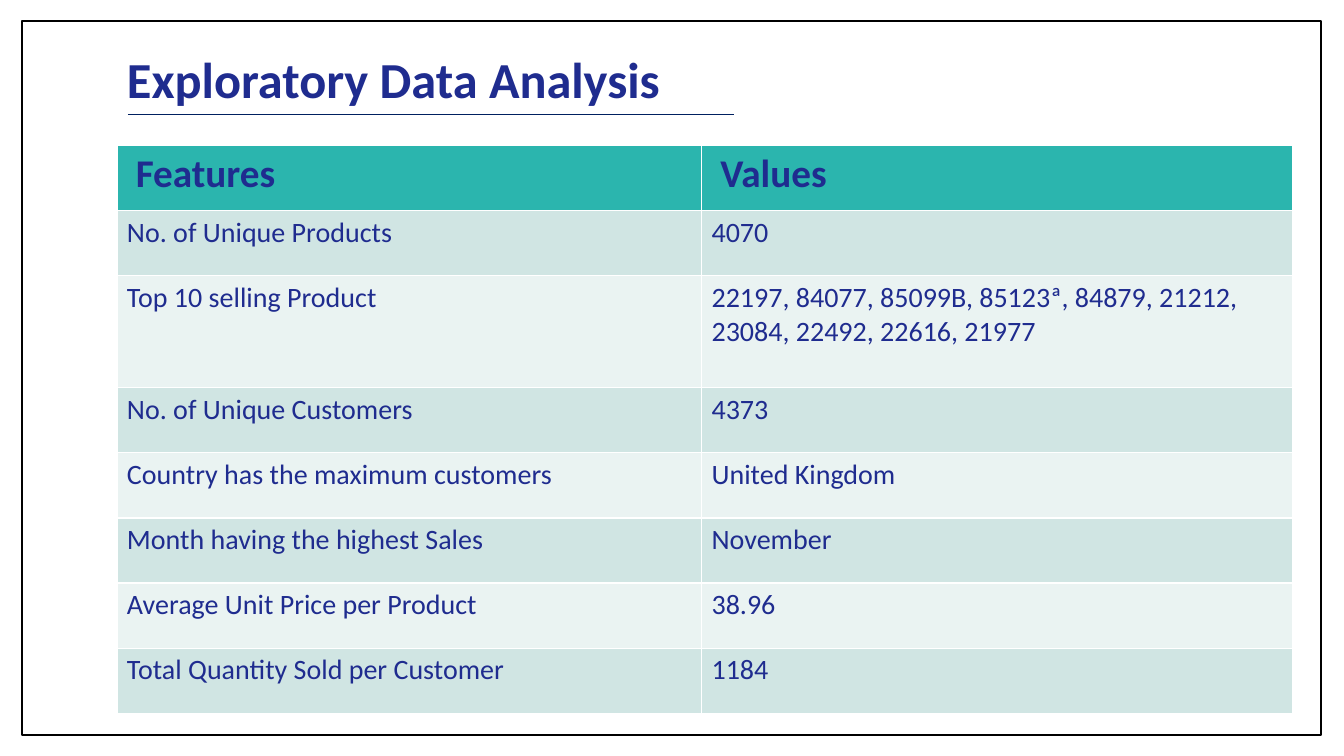
import pptx
import pptx.dml.color
import pptx.enum.shapes
import pptx.enum.text
import pptx.oxml.ns
import pptx.util
import lxml.etree

Pt = pptx.util.Pt

TITLE = "Exploratory Data Analysis"
ROWS = [
    ("Features", "Values"),
    ("No. of Unique Products", "4070"),
    ("Top 10 selling Product",
     "22197, 84077, 85099B, 85123ª, 84879, 21212, 23084, 22492, 22616, 21977"),
    ("No. of Unique Customers", "4373"),
    ("Country has the maximum customers", "United Kingdom"),
    ("Month having the highest Sales", "November"),
    ("Average Unit Price per Product", "38.96"),
    ("Total Quantity Sold per Customer", "1184"),
]
COLORS = {
    "text": "1F2C8F",
    "header": "16AEA7",
    "dark_band": "CCE3E1",
    "light_band": "E8F2F1",
    "paper": "FFFFFF",
    "frame": "000000",
    "rule": "002060",
}
FONT = "Calibri"
LEFT = 83.5
COLUMN_WIDTHS = (417.6, 421.9)
ROW_HEIGHT = 46.5
TALL_ROW = 2
TALL_ROW_HEIGHT = 80
FILL_ALPHA = 91000


def color(name):
    return pptx.dml.color.RGBColor.from_string(COLORS[name])


def format_text(text_frame, size, bold):
    for paragraph in text_frame.paragraphs:
        for run in paragraph.runs:
            run.font.name = FONT
            run.font.size = Pt(size)
            run.font.bold = bold
            run.font.color.rgb = color("text")


def add_frame(slide):
    frame = slide.shapes.add_shape(
        pptx.enum.shapes.MSO_SHAPE.RECTANGLE, Pt(15.8), Pt(14.7), Pt(928), Pt(510.5))
    frame.shadow.inherit = False
    frame.fill.solid()
    frame.fill.fore_color.rgb = color("paper")
    frame.line.color.rgb = color("frame")
    frame.line.width = Pt(1.5)
    slide.shapes.element.insert(2, frame.element)


def set_title(slide):
    title = slide.shapes.title
    title.left, title.top, title.width, title.height = Pt(LEFT), Pt(6.5), Pt(711.4), Pt(75)
    text_frame = title.text_frame
    text_frame.text = TITLE
    text_frame.auto_size = pptx.enum.text.MSO_AUTO_SIZE.NONE
    text_frame.vertical_anchor = pptx.enum.text.MSO_ANCHOR.BOTTOM
    text_frame.paragraphs[0].alignment = pptx.enum.text.PP_ALIGN.LEFT
    text_frame.paragraphs[0].line_spacing = 0.9
    format_text(text_frame, 36, True)


def fill_cell(cell, name):
    cell.fill.solid()
    cell.fill.fore_color.rgb = color(name)
    qn = pptx.oxml.ns.qn
    rgb = next(cell.fill.fore_color._xFill.iter(qn("a:srgbClr")))
    lxml.etree.SubElement(rgb, qn("a:alpha")).set("val", str(FILL_ALPHA))


def add_feature_table(slide):
    heights = [TALL_ROW_HEIGHT if index == TALL_ROW else ROW_HEIGHT
               for index in range(len(ROWS))]
    table = slide.shapes.add_table(
        len(ROWS), len(COLUMN_WIDTHS), Pt(LEFT), Pt(104),
        Pt(sum(COLUMN_WIDTHS)), Pt(sum(heights))).table
    for column, width in zip(table.columns, COLUMN_WIDTHS):
        column.width = Pt(width)
    for index, (values, height) in enumerate(zip(ROWS, heights)):
        table.rows[index].height = Pt(height)
        is_header = index == 0
        band = "header" if is_header else "dark_band" if index % 2 else "light_band"
        for cell, value in zip(table.rows[index].cells, values):
            cell.text_frame.text = value
            format_text(cell.text_frame, 28 if is_header else 20, is_header)
            cell.margin_left = Pt(13.5 if is_header else 7.2)
            fill_cell(cell, band)


def add_title_rule(slide):
    rule = slide.shapes.add_connector(
        pptx.enum.shapes.MSO_CONNECTOR.STRAIGHT, Pt(91.4), Pt(81.5), Pt(524.2), Pt(81.5))
    rule.line.color.rgb = color("rule")
    rule.line.width = Pt(0.5)
    lxml.etree.SubElement(rule.element.spPr, pptx.oxml.ns.qn("a:effectLst"))


def main():
    presentation = pptx.Presentation()
    presentation.slide_width = Pt(960)
    presentation.slide_height = Pt(540)
    slide = presentation.slides.add_slide(presentation.slide_layouts[5])
    add_frame(slide)
    set_title(slide)
    add_feature_table(slide)
    add_title_rule(slide)
    presentation.save("out.pptx")


if __name__ == "__main__":
    main()
